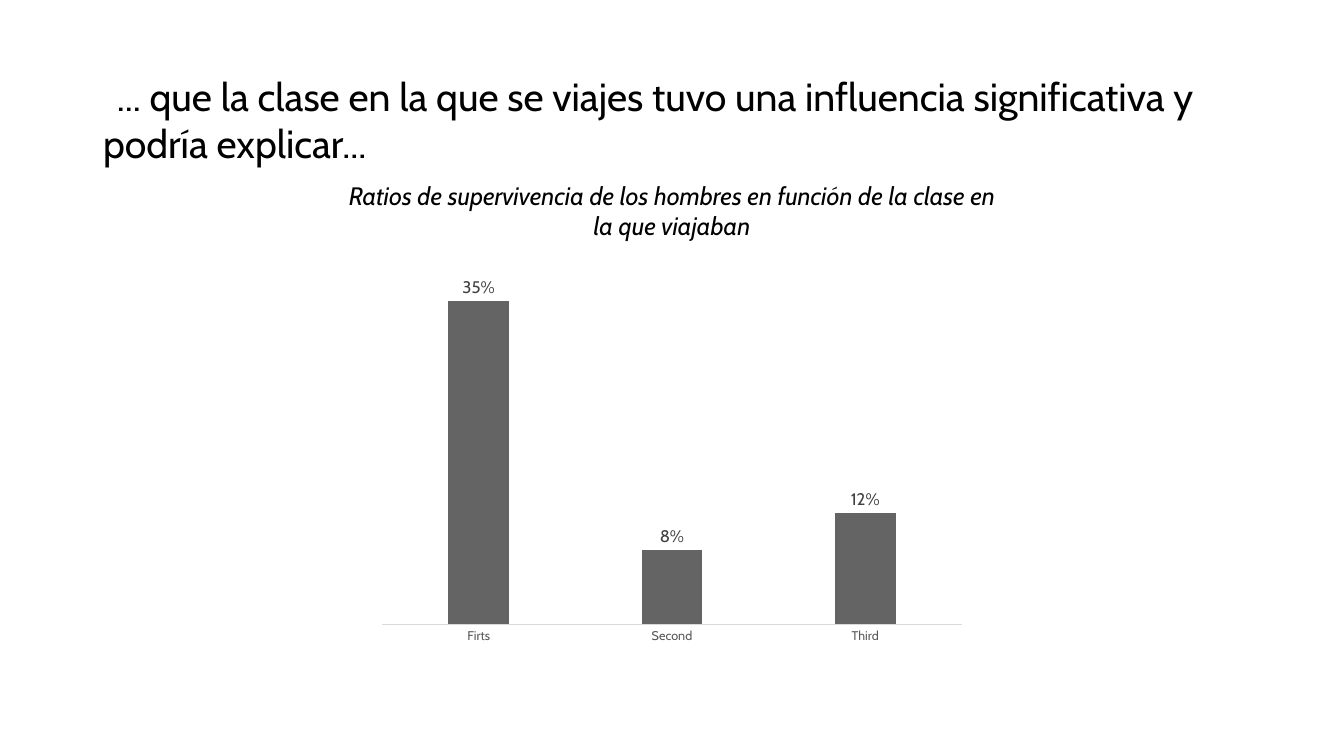
import pptx
import pptx.chart.data
import pptx.dml.color
import pptx.enum.chart
import pptx.enum.text
import pptx.util

FONT = "Cabin"
SLIDE_SIZE = (1344, 756)
TITLE_BOX = (93, 40, 1159, 146)
CAPTION_BOX = (336, 175, 672, 72)
CHART_BOX = (370, 247, 604, 405)

TITLE_RUNS = [
    (" ", 44),
    ("... que la clase en la que se viajes tuvo una influencia significativa y podría explicar...", 28),
]
CAPTION = "Ratios de supervivencia de los hombres en función de la clase en la que viajaban"
SURVIVAL = {"Firts": 0.35, "Second": 0.08, "Third": 0.12}


def px(length):
    return pptx.util.Emu(round(length * 914400 / 100.8))


def color(value):
    return pptx.dml.color.RGBColor.from_string(value)


def style(font, size, hex_color="000000", italic=None):
    font.name = FONT
    font.size = pptx.util.Pt(size)
    font.color.rgb = color(hex_color)
    font.italic = italic


def add_run(para, text, size, italic=None):
    span = para.add_run()
    span.text = text
    style(span.font, size, italic=italic)


def add_title(page):
    title = page.shapes.title
    title.left, title.top, title.width, title.height = map(px, TITLE_BOX)
    frame = title.text_frame
    frame.word_wrap = True
    frame.auto_size = pptx.enum.text.MSO_AUTO_SIZE.NONE
    frame.vertical_anchor = pptx.enum.text.MSO_ANCHOR.MIDDLE
    para = frame.paragraphs[0]
    para.alignment = pptx.enum.text.PP_ALIGN.LEFT
    para.line_spacing = 0.9
    for text, size in TITLE_RUNS:
        add_run(para, text, size)


def add_caption(page):
    frame = page.shapes.add_textbox(*map(px, CAPTION_BOX)).text_frame
    frame.word_wrap = True
    frame.auto_size = pptx.enum.text.MSO_AUTO_SIZE.SHAPE_TO_FIT_TEXT
    para = frame.paragraphs[0]
    para.alignment = pptx.enum.text.PP_ALIGN.CENTER
    add_run(para, CAPTION, 18, italic=True)


def add_survival_chart(page):
    data = pptx.chart.data.CategoryChartData(number_format="0%")
    data.categories = list(SURVIVAL)
    data.add_series("Series 1", list(SURVIVAL.values()))
    kind = pptx.enum.chart.XL_CHART_TYPE.COLUMN_CLUSTERED
    chart = page.shapes.add_chart(kind, *map(px, CHART_BOX), data).chart
    chart.has_title = False
    chart.has_legend = False
    style(chart.font, 10)

    classes = chart.category_axis
    classes.major_tick_mark = pptx.enum.chart.XL_TICK_MARK.NONE
    classes.format.line.color.rgb = color("D9D9D9")
    classes.format.line.width = pptx.util.Pt(0.75)
    style(classes.tick_labels.font, 9, "595959")

    ratios = chart.value_axis
    ratios.visible = False
    ratios.has_major_gridlines = False
    ratios.minimum_scale, ratios.maximum_scale = 0, 0.4
    ratios.tick_labels.number_format = "0%"
    ratios.tick_labels.number_format_is_linked = False

    plot = chart.plots[0]
    plot.vary_by_categories = False
    plot.gap_width, plot.overlap = 219, -27
    bars = plot.series[0]
    bars.format.fill.solid()
    bars.format.fill.fore_color.rgb = color("646464")
    labels = bars.data_labels
    labels.show_value = True
    labels.position = pptx.enum.chart.XL_LABEL_POSITION.OUTSIDE_END
    labels.number_format = "0%"
    labels.number_format_is_linked = False
    style(labels.font, 12, "404040")


def main():
    deck = pptx.Presentation()
    deck.slide_width, deck.slide_height = map(px, SLIDE_SIZE)
    page = deck.slides.add_slide(deck.slide_layouts.get_by_name("Title Only"))
    add_title(page)
    add_caption(page)
    add_survival_chart(page)
    deck.save("out.pptx")


if __name__ == "__main__":
    main()
